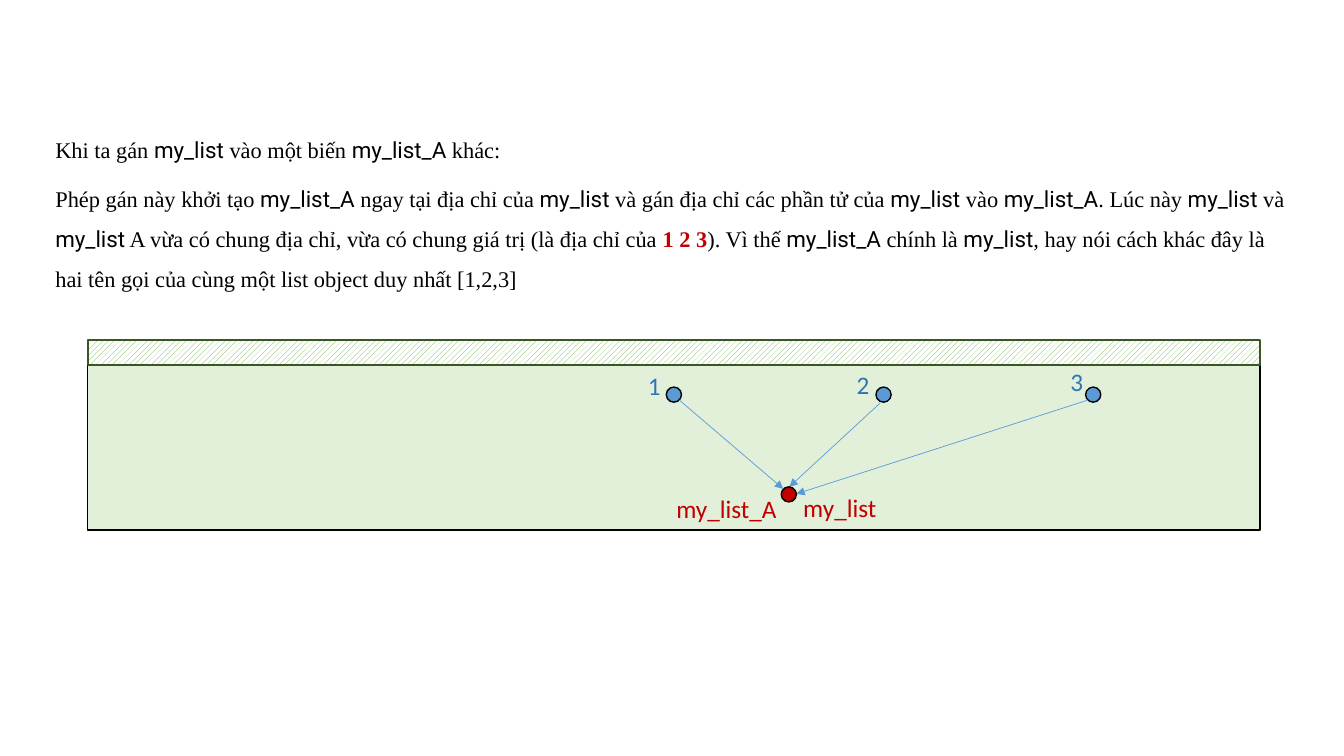
from lxml import etree
from pptx import Presentation
from pptx import util as u
from pptx.dml.color import RGBColor
from pptx.enum import dml, shapes, text
from pptx.oxml import ns

COLORS = {
    "ink": "000000", "paper": "FFFFFF", "memory": "E2F0D9", "hatch": "70AD47",
    "strip": "385723", "value": "5B9BD5", "digit": "2E75B6", "name": "C00000",
}
PROSE = {"name": "Times New Roman", "size": u.Pt(16), "bold": False}
CODE = {**PROSE, "name": "Roboto"}
STRONG = {**PROSE, "bold": True}
LABEL = {"name": "Calibri", "size": u.Pt(18)}

INTRO = "Khi ta gán |my_list| vào một biến |my_list_A| khác:"
EXPLANATION = (
    "Phép gán này khởi tạo |my_list_A| ngay tại địa chỉ của |my_list| và gán địa chỉ "
    "các phần tử của |my_list| vào |my_list_A|. Lúc này |my_list| và |my_list| A vừa có "
    "chung địa chỉ, vừa có chung giá trị (là địa chỉ của |1 2 3|). Vì thế |my_list_A| "
    "chính là |my_list|, hay nói cách khác đây là hai tên gọi của cùng một list object "
    "duy nhất [1,2,3]"
)


def rgb(color):
    return RGBColor.from_string(COLORS[color])


class Canvas:
    """Draws on one slide; all lengths are percentages of its width and height."""

    def __init__(self, prs):
        self.width, self.height = prs.slide_width, prs.slide_height
        self.shapes = prs.slides.add_slide(prs.slide_layouts[6]).shapes

    def start_group(self):
        self.shapes = self.shapes.add_group_shape().shapes

    def place(self, *lengths):
        """Turn alternating x and y percentages into slide lengths."""
        return [round(length * (self.height if i % 2 else self.width) / 100)
                for i, length in enumerate(lengths)]

    def textbox(self, box, runs, wrap=False, spacing=None):
        """Write runs of (words, font values, colour) as one paragraph."""
        frame = self.shapes.add_textbox(*self.place(*box)).text_frame
        frame.word_wrap = wrap
        frame.auto_size = text.MSO_AUTO_SIZE.SHAPE_TO_FIT_TEXT
        paragraph = frame.paragraphs[0]
        paragraph.line_spacing = spacing
        for words, style, color in runs:
            run = paragraph.add_run()
            run.text = words
            for key, value in style.items():
                setattr(run.font, key, value)
            run.font.color.rgb = rgb(color)

    def prose(self, box, marked, wrap=False):
        """Write text whose parts between bars are code names or emphasis."""
        runs = []
        for i, words in enumerate(marked.split("|")):
            if i % 2 == 0:
                runs.append((words, PROSE, "ink"))
            elif words.startswith("my_list"):
                runs.append((words, CODE, "ink"))
            else:
                runs.append((words, STRONG, "name"))
        self.textbox(box, runs, wrap, 1.5)

    def label(self, box, words, color):
        self.textbox(box, [(words, LABEL, color)])

    def shape(self, kind, box, fill, line="ink", weight=1, hatch=None):
        shape = self.shapes.add_shape(kind, *self.place(*box))
        shape.shadow.inherit = False
        if hatch:
            shape.fill.patterned()
            shape.fill.pattern = dml.MSO_PATTERN.WIDE_UPWARD_DIAGONAL
            shape.fill.fore_color.rgb = rgb(hatch)
            shape.fill.back_color.rgb = rgb(fill)
        else:
            shape.fill.solid()
            shape.fill.fore_color.rgb = rgb(fill)
        shape.line.color.rgb = rgb(line)
        shape.line.width = u.Pt(weight)

    def bar(self, box, fill, **look):
        self.shape(shapes.MSO_SHAPE.RECTANGLE, box, fill, **look)

    def dot(self, x, y, fill):
        """Draw a dot centred on the given point."""
        width, height = 1.13, 2
        self.shape(shapes.MSO_SHAPE.OVAL,
                   (x - width / 2, y - height / 2, width, height), fill)

    def arrow(self, ends):
        arrow = self.shapes.add_connector(shapes.MSO_CONNECTOR.STRAIGHT, *self.place(*ends))
        arrow.line.color.rgb = rgb("value")
        arrow.line.width = u.Pt(0.5)
        properties = arrow.element.spPr
        etree.SubElement(properties.find(ns.qn("a:ln")), ns.qn("a:tailEnd"), type="triangle")
        etree.SubElement(properties, ns.qn("a:effectLst"))


def main():
    prs = Presentation()
    prs.slide_width, prs.slide_height = u.Inches(13.333), u.Inches(7.5)
    canvas = Canvas(prs)

    canvas.prose((3.38, 15.6, 35.03, 6.67), INTRO)
    canvas.prose((3.38, 22, 93.53, 17.47), EXPLANATION, wrap=True)

    canvas.start_group()
    canvas.bar((6.53, 48.27, 87.23, 21.87), "memory")
    canvas.bar((6.53, 44.93, 87.23, 3.33), "paper", line="strip", weight=1.5, hatch="hatch")

    digit_corners = [(47.48, 48.27), (63, 48.13), (78.9, 47.73)]
    arrow_ends = [(50.55, 52.93, 58.28, 64.67), (65.48, 53.33, 58.73, 64.4),
                  (80.93, 52.93, 59.25, 65.33)]
    for i, (corner, ends) in enumerate(zip(digit_corners, arrow_ends)):
        canvas.dot(50.14 + 15.6 * i, 52.2, "value")
        canvas.label((*corner, 2.48, 5.33), str(i + 1), "digit")
        canvas.arrow(ends)

    canvas.dot(58.69, 65.4, "name")
    canvas.label((59.03, 64.4, 6.98, 5.33), "my_list", "name")
    canvas.label((49.58, 64.53, 9.08, 5.33), "my_list_A", "name")
    prs.save("out.pptx")


if __name__ == "__main__":
    main()
